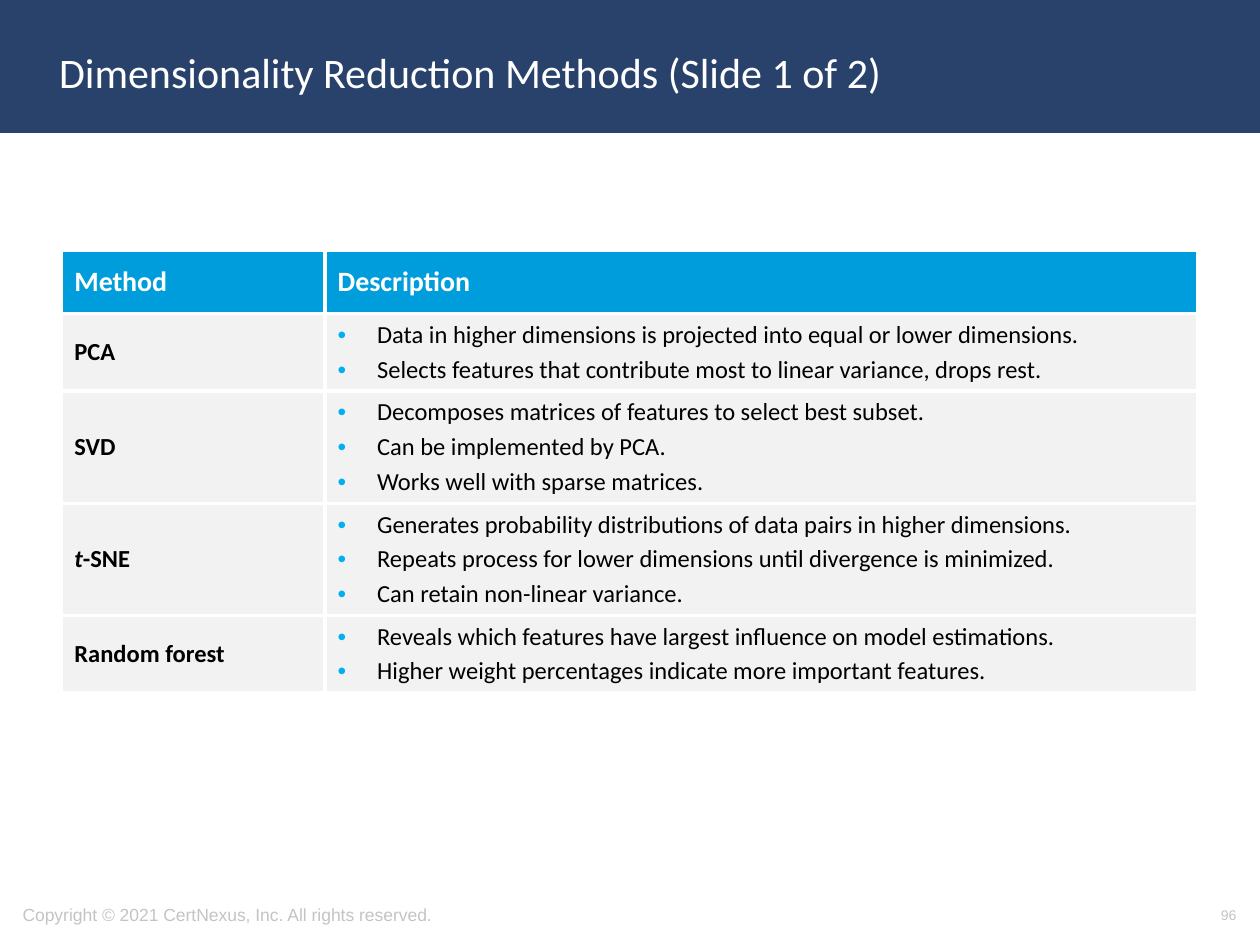
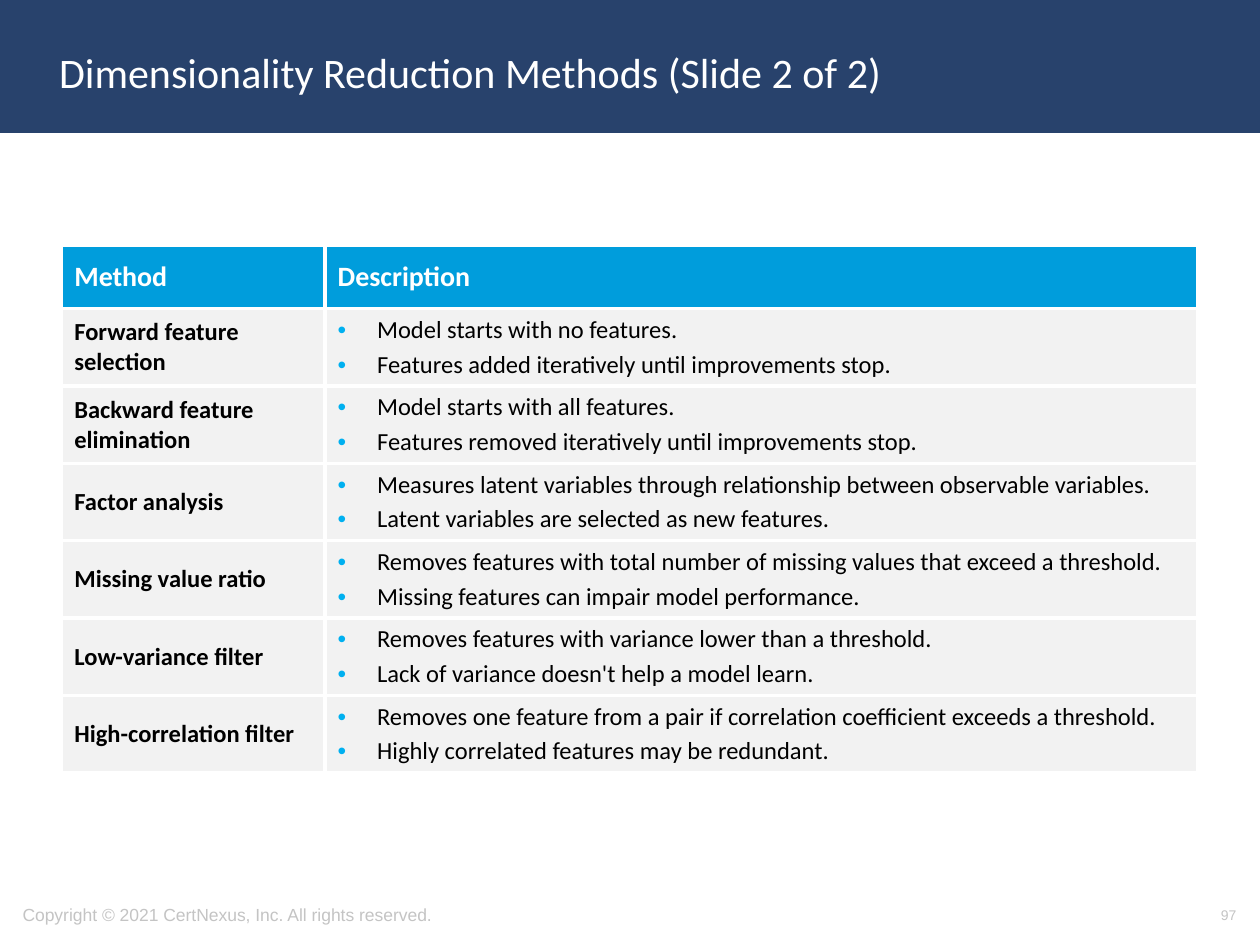
"""Build two slides that list dimensionality reduction methods in tables."""
from lxml.etree import SubElement
from pptx import Presentation
from pptx.dml.color import RGBColor
from pptx.enum.shapes import MSO_SHAPE
from pptx.enum.text import MSO_ANCHOR, MSO_AUTO_SIZE, PP_ALIGN
from pptx.oxml import parse_xml
from pptx.oxml.ns import nsdecls, qn
from pptx.util import Pt

NAVY, BLUE, CYAN = "28426C", "009DDC", "00B0F0"
WHITE, PALE, GREY, BLACK = "FFFFFF", "F2F2F2", "C4C4C4", "000000"
TITLE = {"name": "Calibri", "size": Pt(24), "bold": False, "color": WHITE}
HEAD = {"name": "Calibri", "size": Pt(16), "bold": True, "color": WHITE}
BODY = {"name": "Calibri", "size": Pt(14), "bold": False, "color": BLACK}
LABEL = BODY | {"bold": True}
FOOT = {"name": "Arial", "size": Pt(10), "color": GREY}
PAGE = FOOT | {"size": Pt(8)}
SIDES = ("lnL", "lnR", "lnT", "lnB")
COPY = "Copyright © 2021 CertNexus, Inc. All rights reserved."

SLIDES = [
    (96, 143.3, [
        ("PCA", [
            "Data in higher dimensions is projected into equal or lower dimensions.",
            "Selects features that contribute most to linear variance, drops rest."]),
        ("SVD", [
            "Decomposes matrices of features to select best subset.",
            "Can be implemented by PCA.",
            "Works well with sparse matrices."]),
        ("t-SNE", [
            "Generates probability distributions of data pairs in higher dimensions.",
            "Repeats process for lower dimensions until divergence is minimized.",
            "Can retain non-linear variance."]),
        ("Random forest", [
            "Reveals which features have largest influence on model estimations.",
            "Higher weight percentages indicate more important features."]),
    ]),
    (97, 140.4, [
        ("Forward feature selection", [
            "Model starts with no features.",
            "Features added iteratively until improvements stop."]),
        ("Backward feature elimination", [
            "Model starts with all features.",
            "Features removed iteratively until improvements stop."]),
        ("Factor analysis", [
            "Measures latent variables through relationship between observable variables.",
            "Latent variables are selected as new features."]),
        ("Missing value ratio", [
            "Removes features with total number of missing values that exceed a threshold.",
            "Missing features can impair model performance."]),
        ("Low-variance filter", [
            "Removes features with variance lower than a threshold.",
            "Lack of variance doesn't help a model learn."]),
        ("High-correlation filter", [
            "Removes one feature from a pair if correlation coefficient exceeds a threshold.",
            "Highly correlated features may be redundant."]),
    ]),
]


def paint(color, code):
    """Set a colour from a hex string."""
    color.rgb = RGBColor.from_string(code)


def write(para, text, style, **extra):
    """Add a run of text in the given style."""
    run = para.add_run()
    run.text = text
    for key, value in (style | extra).items():
        if key == "color":
            paint(run.font.color, value)
        else:
            setattr(run.font, key, value)


deck = Presentation()
deck.slide_width, deck.slide_height = Pt(720), Pt(540)

for count, (page, top, methods) in enumerate(SLIDES, 1):
    slide = deck.slides.add_slide(deck.slide_layouts[5])
    shapes = slide.shapes
    title = shapes.title

    band = shapes.add_shape(MSO_SHAPE.RECTANGLE, 0, 0, Pt(720), Pt(74.9))
    band.shadow.inherit = False
    band.fill.solid()
    paint(band.fill.fore_color, NAVY)
    paint(band.line.color, NAVY)
    band.line.width = Pt(2)
    title._element.addprevious(band._element)

    title.left, title.top, title.width, title.height = Pt(26.6), Pt(7.9), Pt(620.6), Pt(66.2)
    frame = title.text_frame
    frame.auto_size = MSO_AUTO_SIZE.NONE
    frame.vertical_anchor = MSO_ANCHOR.MIDDLE
    frame.paragraphs[0].alignment = PP_ALIGN.LEFT
    write(frame.paragraphs[0],
          f"Dimensionality Reduction Methods (Slide {count} of {len(SLIDES)})", TITLE)

    for left, width, text, style, align in (
            (5.8, 379.4, COPY, FOOT, PP_ALIGN.LEFT),
            (545.8, 167.8, str(page), PAGE, PP_ALIGN.RIGHT)):
        frame = shapes.add_textbox(Pt(left), Pt(508.3), Pt(width), Pt(28.8)).text_frame
        frame.word_wrap = True
        frame.vertical_anchor = MSO_ANCHOR.MIDDLE
        frame.paragraphs[0].alignment = align
        write(frame.paragraphs[0], text, style)

    highs = [36] + [24.3 + 19.9 * (len(points) - 1) for _, points in methods]
    table = shapes.add_table(len(highs), 2, Pt(35.3), Pt(top), Pt(649.4), Pt(sum(highs))).table
    for column, width in zip(table.columns, (150.5, 498.9)):
        column.width = Pt(width)
    for row, high in zip(table.rows, highs):
        row.height = Pt(high)

    for text, cell in zip(("Method", "Description"), table.rows[0].cells):
        write(cell.text_frame.paragraphs[0], text, HEAD)

    for line, (name, points) in enumerate(methods, 1):
        para = table.cell(line, 0).text_frame.paragraphs[0]
        if name.startswith("t-"):
            write(para, name[0], LABEL, italic=True)
            name = name[1:]
        write(para, name, LABEL)

        frame = table.cell(line, 1).text_frame
        for order, point in enumerate(points):
            para = frame.add_paragraph() if order else frame.paragraphs[0]
            props = para._p.get_or_add_pPr()
            props.set("marL", str(Pt(22.5)))
            props.set("indent", str(Pt(-22.5)))
            SubElement(SubElement(props, qn("a:buClr")), qn("a:srgbClr"), val=CYAN)
            SubElement(props, qn("a:buFont"), typeface="Arial")
            SubElement(props, qn("a:buChar"), char="•")
            if order:
                para.space_before = Pt(2.8)
            write(para, point, BODY)

    for line, row in enumerate(table.rows):
        for cell in row.cells:
            cell.vertical_anchor = MSO_ANCHOR.MIDDLE
            cell.fill.solid()
            paint(cell.fill.fore_color, PALE if line else BLUE)
            for place, side in enumerate(SIDES):
                cell._tc.tcPr.insert(place, parse_xml(
                    f'<a:{side} {nsdecls("a")} w="{Pt(2.25)}"><a:solidFill>'
                    f'<a:srgbClr val="{WHITE}"/></a:solidFill></a:{side}>'))

deck.save("out.pptx")
